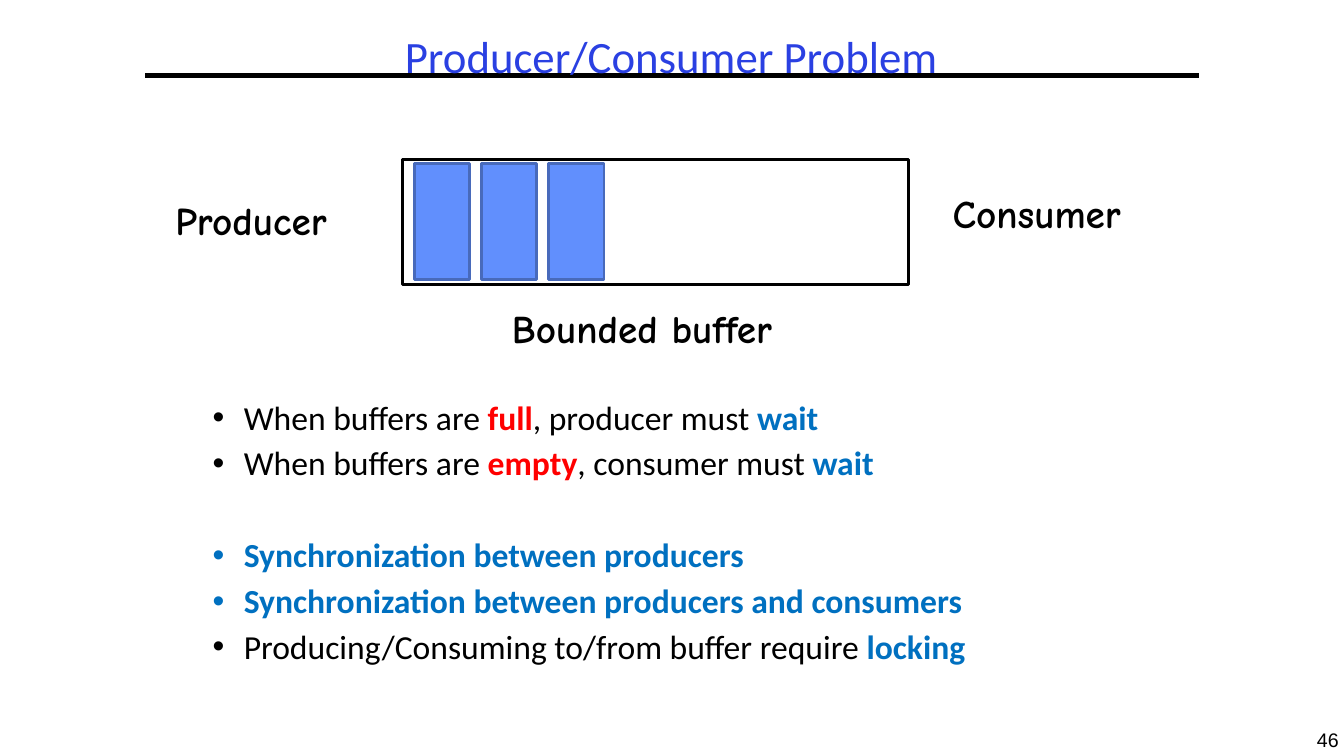
from lxml import etree
from pptx import Presentation
from pptx.dml.color import RGBColor
from pptx.enum.shapes import MSO_CONNECTOR, MSO_SHAPE
from pptx.enum.text import PP_ALIGN
from pptx.oxml.ns import qn
from pptx.util import Inches, Pt

STRAIGHT = MSO_CONNECTOR.STRAIGHT
RECTANGLE = MSO_SHAPE.RECTANGLE
CENTER, LEFT = PP_ALIGN.CENTER, PP_ALIGN.LEFT

BLACK, WHITE, RED, BLUE = "000000", "FFFFFF", "FF0000", "0070C0"
TITLE_BLUE, ITEM_FILL, ITEM_LINE = "2A40E2", "618FFD", "486ABB"
LINE_SPACING = 0.9
BULLET_INDENT = Inches(0.31)
ITEM_COUNT, ITEM_PITCH = 3, 0.665

BULLETS = [
    (0, [("When buffers are ", BLACK), ("full", RED),
         (", producer must ", BLACK), ("wait", BLUE)]),
    (6.7, [("When buffers are ", BLACK), ("empty", RED),
           (", consumer must ", BLACK), ("wait", BLUE)]),
    (39.8, [("Synchronization between producers", BLUE)]),
    (6.7, [("Synchronization between producers and consumers", BLUE)]),
    (6.7, [("Producing/Consuming to/from buffer require ", BLACK),
           ("locking", BLUE)]),
]
LABELS = [
    ("Bounded buffer", 4.98, 2.97, 3.16),
    ("Producer", 1.64, 1.9, 1.85),
    ("Consumer", 9.35, 1.83, 1.97),
]


def color(value):
    """Return the colour for a hex string."""
    return RGBColor.from_string(value)


def add_text_frame(slide, left, top, width, height, wrap=True):
    """Add a text box and return its text frame."""
    box = slide.shapes.add_textbox(
        Inches(left), Inches(top), Inches(width), Inches(height))
    box.text_frame.word_wrap = wrap
    return box.text_frame


def add_label(slide, text, left, top, width, height, size, font_name,
              font_color=BLACK, bold=False, alignment=LEFT, wrap=True):
    """Add one line of text in a single style."""
    frame = add_text_frame(slide, left, top, width, height, wrap)
    paragraph = frame.paragraphs[0]
    paragraph.text = text
    paragraph.alignment = alignment
    font = paragraph.font
    font.size, font.name, font.bold = Pt(size), font_name, bold
    font.color.rgb = color(font_color)
    return paragraph


def add_rectangle(slide, left, top, width, height, fill, line):
    """Add a filled and outlined rectangle."""
    shape = slide.shapes.add_shape(
        RECTANGLE, Inches(left), Inches(top), Inches(width), Inches(height))
    shape.shadow.inherit = False
    shape.fill.solid()
    shape.fill.fore_color.rgb = color(fill)
    shape.line.color.rgb = color(line)
    shape.line.width = Pt(2)


def add_rule(slide, left, right, top):
    """Add the horizontal rule under the title."""
    rule = slide.shapes.add_connector(
        STRAIGHT, Inches(left), Inches(top), Inches(right), Inches(top))
    rule.line.color.rgb = color(BLACK)
    rule.line.width = Pt(3)
    etree.SubElement(rule._element.spPr, qn("a:effectLst"))


def format_bullet(paragraph, space_before):
    """Give a paragraph its bullet, hanging indent and spacing."""
    properties = paragraph._p.get_or_add_pPr()
    properties.set("marL", str(BULLET_INDENT))
    properties.set("indent", str(-BULLET_INDENT))
    etree.SubElement(properties, qn("a:buFont"), typeface="Arial")
    etree.SubElement(properties, qn("a:buChar"), char="•")
    paragraph.line_spacing = LINE_SPACING
    paragraph.space_before = Pt(space_before)
    paragraph.font.size = Pt(24)
    paragraph.font.name = "Calibri"


def add_bullets(slide, left, top, width, height):
    """Add the bulleted list, with coloured words in bold."""
    frame = add_text_frame(slide, left, top, width, height)
    for index, (space_before, runs) in enumerate(BULLETS):
        paragraph = frame.add_paragraph() if index else frame.paragraphs[0]
        format_bullet(paragraph, space_before)
        for text, run_color in runs:
            run = paragraph.add_run()
            run.text = text
            run.font.color.rgb = color(run_color)
            run.font.bold = run_color != BLACK


def main():
    """Build the slide and save it."""
    presentation = Presentation()
    presentation.slide_width = Inches(13.33)
    presentation.slide_height = Inches(7.5)
    slide = presentation.slides.add_slide(presentation.slide_layouts[6])

    add_rule(slide, 1.44, 11.89, 0.75)
    add_label(slide, "46", 12.92, 7.17, 0.5, 0.4, 14, "Arial",
              alignment=CENTER)
    title = add_label(slide, "Producer/Consumer Problem", 0.46, 0.3, 12.4,
                      0.58, 32, "Calibri", TITLE_BLUE, alignment=CENTER)
    title.line_spacing = LINE_SPACING
    add_bullets(slide, 2.01, 3.93, 9.3, 2.86)

    add_rectangle(slide, 3.99, 1.58, 5.02, 1.24, WHITE, BLACK)
    for index in range(ITEM_COUNT):
        add_rectangle(slide, 4.11 + index * ITEM_PITCH, 1.62, 0.55, 1.15,
                      ITEM_FILL, ITEM_LINE)
    for text, left, top, width in LABELS:
        add_label(slide, text, left, top, width, 0.57, 28, "Comic Neue",
                  bold=True, wrap=False)

    presentation.save("out.pptx")


if __name__ == "__main__":
    main()
